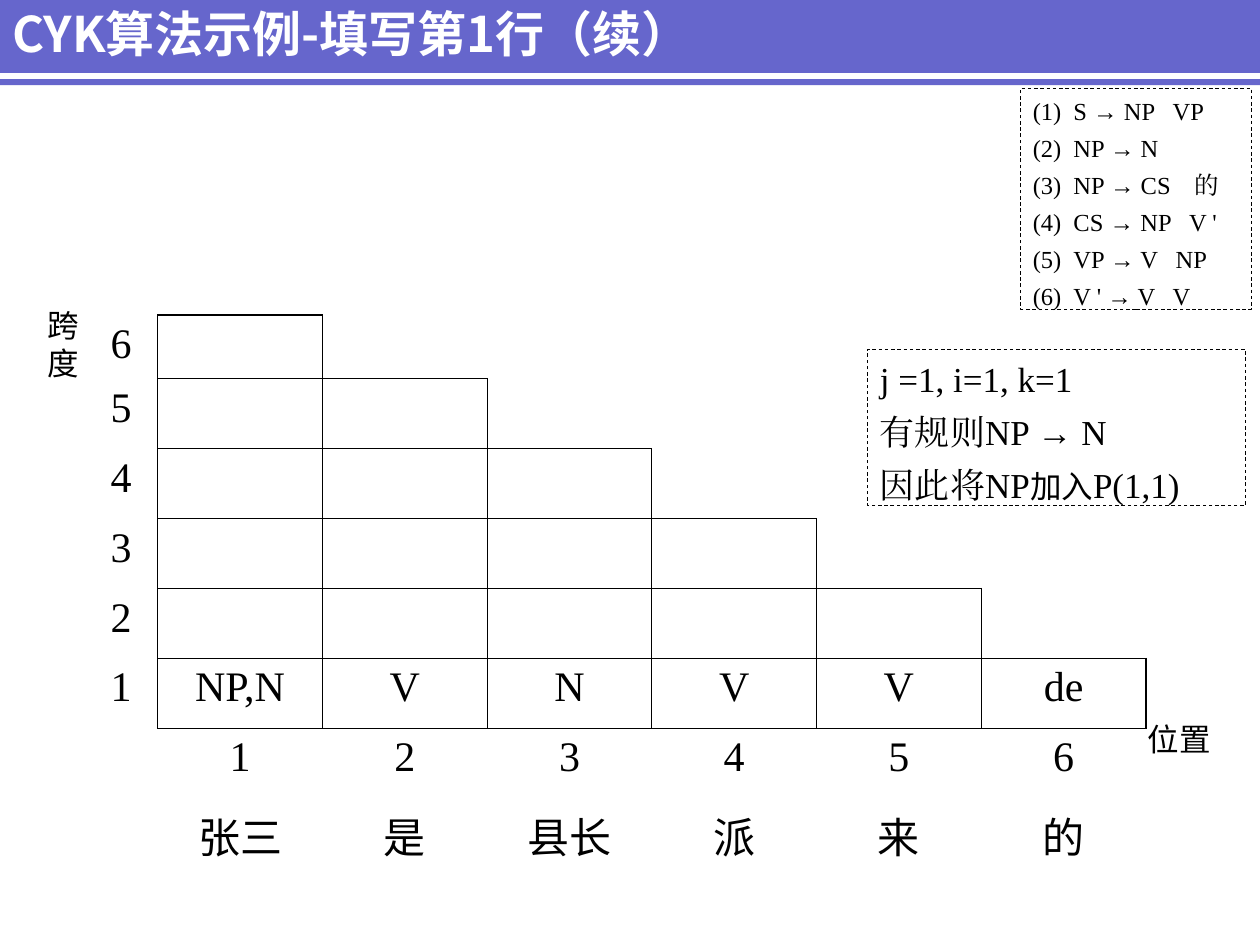
from lxml.etree import SubElement
from pptx import Presentation
from pptx.dml.color import RGBColor
from pptx.enum.dml import MSO_LINE
from pptx.enum.shapes import MSO_CONNECTOR, MSO_SHAPE
from pptx.enum.text import MSO_ANCHOR, PP_ALIGN
from pptx.oxml.ns import qn
from pptx.util import Cm, Pt

SANS = "Noto Sans CJK SC"
SERIF = "Times New Roman"
LABEL = "Calibri"
ARROW = ("→", "Arial")

STEPS = [
    [("j =1, i=1, k=1",)],
    [("有规则NP ",), ARROW, (" N",)],
    [("因此将NP",), ("加入", LABEL, 18), ("P(1,1)",)],
]
RULES = [
    ("S", "NP", "VP", 2.82),
    ("NP", "N", "", 2.82),
    ("NP", "CS", "的", 3.27),
    ("CS", "NP", "V '", 3.15),
    ("VP", "V", "NP", 2.88),
    ("V '", "V", "V", 2.82),
]
TAGS = ["NP,N", "V", "N", "V", "V", "de"]
WORDS = ["张三", "是", "县长", "派", "来", "的"]


def color(value):
    return RGBColor.from_string(value)


class Deck:
    ink = "000000"
    paper = "FFFFFF"
    accent = "6666CC"

    def __init__(self, prs):
        self.s = prs.slides.add_slide(prs.slide_layouts[6])

    def run(self, p, text, font, size, hue=ink, bold=False, east=None):
        r = p.add_run()
        r.text = text
        r.font.name = font
        r.font.size = Pt(size)
        r.font.bold = bold
        r.font.color.rgb = color(hue)
        SubElement(r.font._element, qn("a:ea"), typeface=east or font)

    def band(self, x, y, w, h):
        sp = self.s.shapes.add_shape(MSO_SHAPE.RECTANGLE, Cm(x), Cm(y), Cm(w), Cm(h))
        sp.shadow.inherit = False
        sp.fill.solid()
        sp.fill.fore_color.rgb = color(self.accent)
        sp.line.fill.background()

    def rule(self, x1, x2, y):
        line = self.s.shapes.add_connector(MSO_CONNECTOR.STRAIGHT, Cm(x1), Cm(y), Cm(x2), Cm(y))
        line.line.color.rgb = color(self.paper)
        line.line.width = Pt(3)
        SubElement(line._element.spPr, qn("a:effectLst"))

    def text(self, x, y, w, h, text, font, size, hue=ink, bold=False, anchor=MSO_ANCHOR.TOP):
        tf = self.s.shapes.add_textbox(Cm(x), Cm(y), Cm(w), Cm(h)).text_frame
        tf.word_wrap = True
        tf.vertical_anchor = anchor
        self.run(tf.paragraphs[0], text, font, size, hue, bold)

    def box(self, x, y, w, h, lines, size, gap, tabs=None):
        sp = self.s.shapes.add_shape(MSO_SHAPE.RECTANGLE, Cm(x), Cm(y), Cm(w), Cm(h))
        sp.shadow.inherit = False
        sp.fill.background()
        sp.line.color.rgb = color(self.ink)
        sp.line.width = Pt(0.5)
        sp.line.dash_style = MSO_LINE.DASH
        tf = sp.text_frame
        tf.word_wrap = True
        tf.vertical_anchor = MSO_ANCHOR.TOP
        for i, line in enumerate(lines):
            p = tf.add_paragraph() if i else tf.paragraphs[0]
            p.alignment = PP_ALIGN.LEFT
            p.line_spacing = 1.05
            if i:
                p.space_before = Pt(gap)
            if tabs:
                stops = SubElement(p._p.get_or_add_pPr(), qn("a:tabLst"))
                for stop in tabs[i]:
                    SubElement(stops, qn("a:tab"), pos=str(Cm(stop)), algn="l")
            for text, font, pt in ((*part, SERIF, size)[:3] if len(part) == 1
                                   else (*part, size)[:3] for part in line):
                self.run(p, text, font, pt)

    def edge(self, cell, side, width):
        ln = SubElement(cell._tc.get_or_add_tcPr(), qn(f"a:ln{side}"), w=str(Pt(width)))
        if width:
            fill = SubElement(ln, qn("a:solidFill"))
            SubElement(fill, qn("a:srgbClr"), val=self.ink)
        else:
            SubElement(ln, qn("a:noFill"))

    def chart_table(self, x, y, widths, heights, rows):
        n = len(rows) - 2
        frame = self.s.shapes.add_table(len(rows), len(widths), Cm(x), Cm(y),
                                        Cm(sum(widths)), Cm(sum(heights)))
        table = frame.table
        table.first_row = table.horz_banding = False
        for column, width in zip(table.columns, widths):
            column.width = Cm(width)
        for row, height in zip(table.rows, heights):
            row.height = Cm(height)

        def inside(r, c):
            return 0 <= r < n and 1 <= c <= r + 1

        for r, row in enumerate(rows):
            for c, text in enumerate(row):
                cell = table.cell(r, c)
                sides = {"L": (r, c - 1), "R": (r, c + 1), "T": (r - 1, c), "B": (r + 1, c)}
                for side, other in sides.items():
                    heavy = (r, c, side) in [(0, 1, "T"), (n - 1, n, "R")]
                    drawn = inside(r, c) or inside(*other)
                    self.edge(cell, side, 1.08 if heavy else 0.45 if drawn else 0)
                cell.fill.background()
                if text:
                    p = cell.text_frame.paragraphs[0]
                    p.alignment = PP_ALIGN.CENTER
                    self.run(p, text, SERIF, 24, east=SANS)
        for r in (0, 1):
            table.cell(r, 4).merge(table.cell(r, 6))


def main():
    prs = Presentation()
    prs.slide_width, prs.slide_height = Cm(25.4), Cm(19.05)
    deck = Deck(prs)
    deck.band(-0.1, -0.08, 25.5, 1.8)
    deck.rule(-0.1, 25.4, 1.53)
    deck.text(0, 0, 24.13, 1.32, "CYK算法示例-填写第1行（续）", SANS, 28,
              deck.paper, True, MSO_ANCHOR.MIDDLE)

    n = len(WORDS)
    rows = [[str(span)] + [""] * n for span in range(n, 1, -1)]
    rows += [["1"] + TAGS, [""] + [str(i + 1) for i in range(n)], [""] + WORDS]
    deck.chart_table(1.7, 6.35, [1.48] + [3.32] * n, [1.28] + [1.41] * (n + 1), rows)

    deck.text(0.71, 6.05, 1.52, 1.78, "跨度", LABEL, 18)
    deck.text(22.89, 14.4, 2.49, 1.02, "位置", LABEL, 18)
    deck.box(17.49, 7.04, 7.62, 3.15, STEPS, 20, 5)

    lines = [[(f"({i})\t{left} ",), ARROW, (f" {first}\t{second}" if second else f" {first}",)]
             for i, (left, first, second, stop) in enumerate(RULES, 1)]
    tabs = [(0.82, stop) for *symbols, stop in RULES]
    deck.box(20.57, 1.78, 4.66, 4.45, lines, 14, 3.5, tabs)
    prs.save("out.pptx")


if __name__ == "__main__":
    main()
